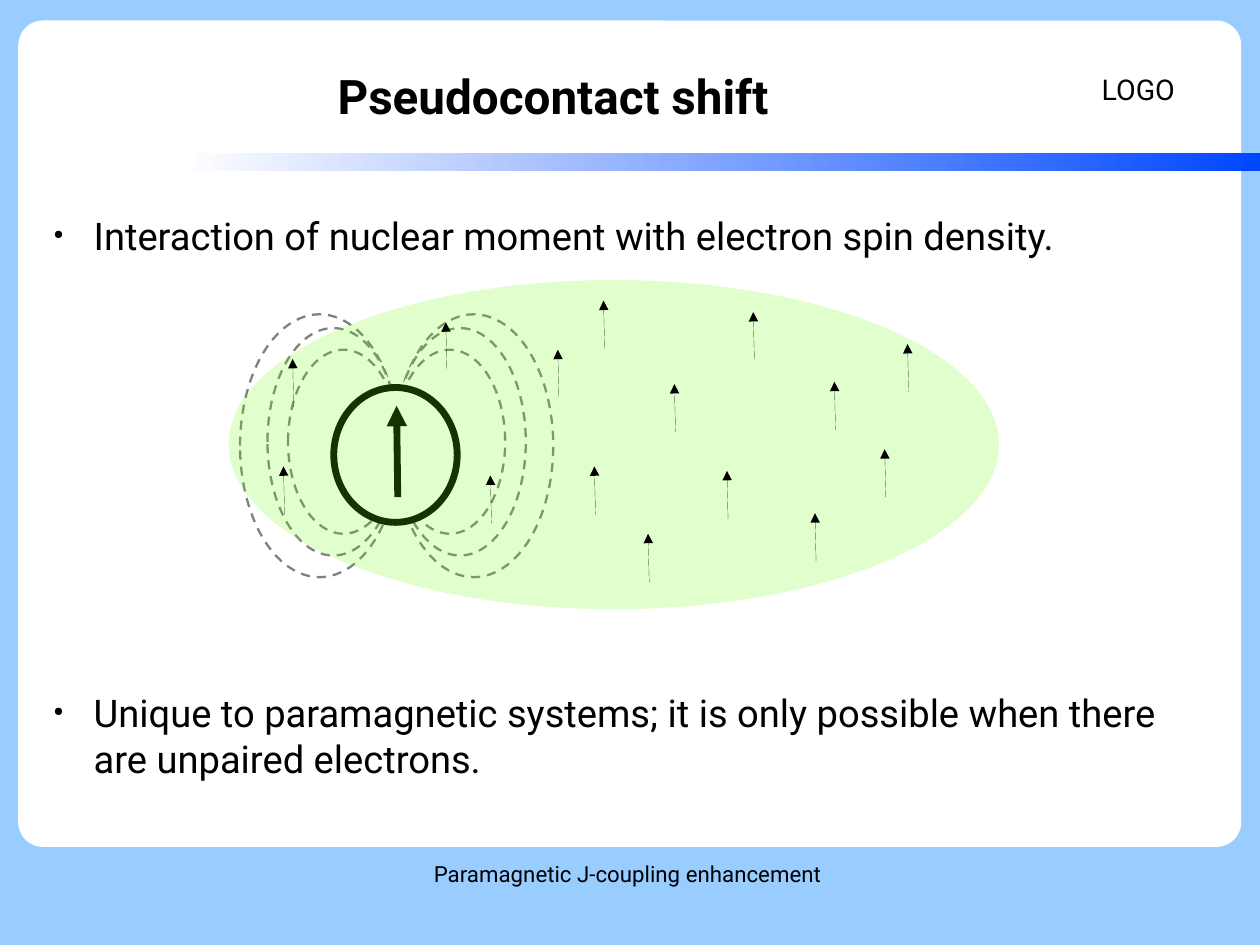
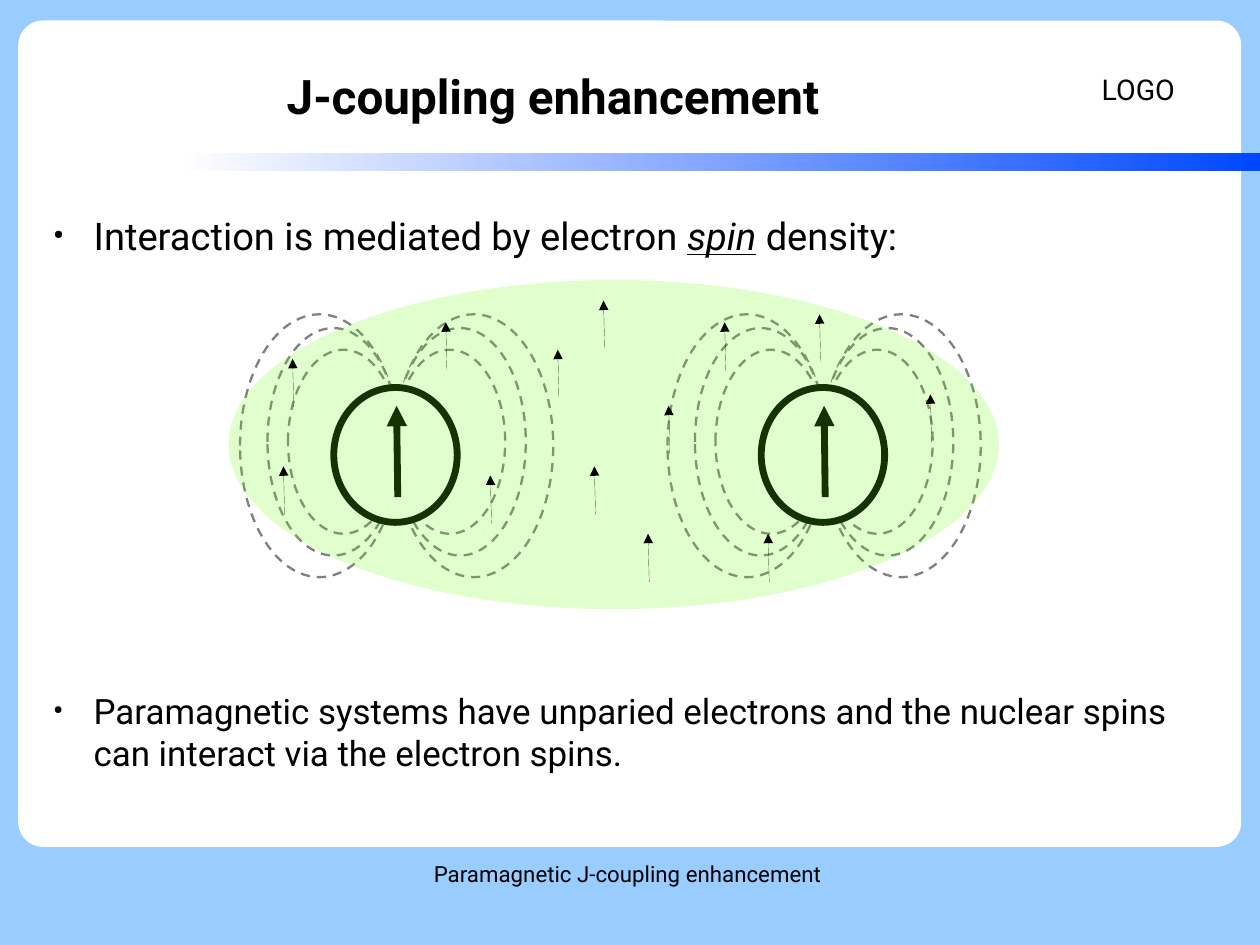
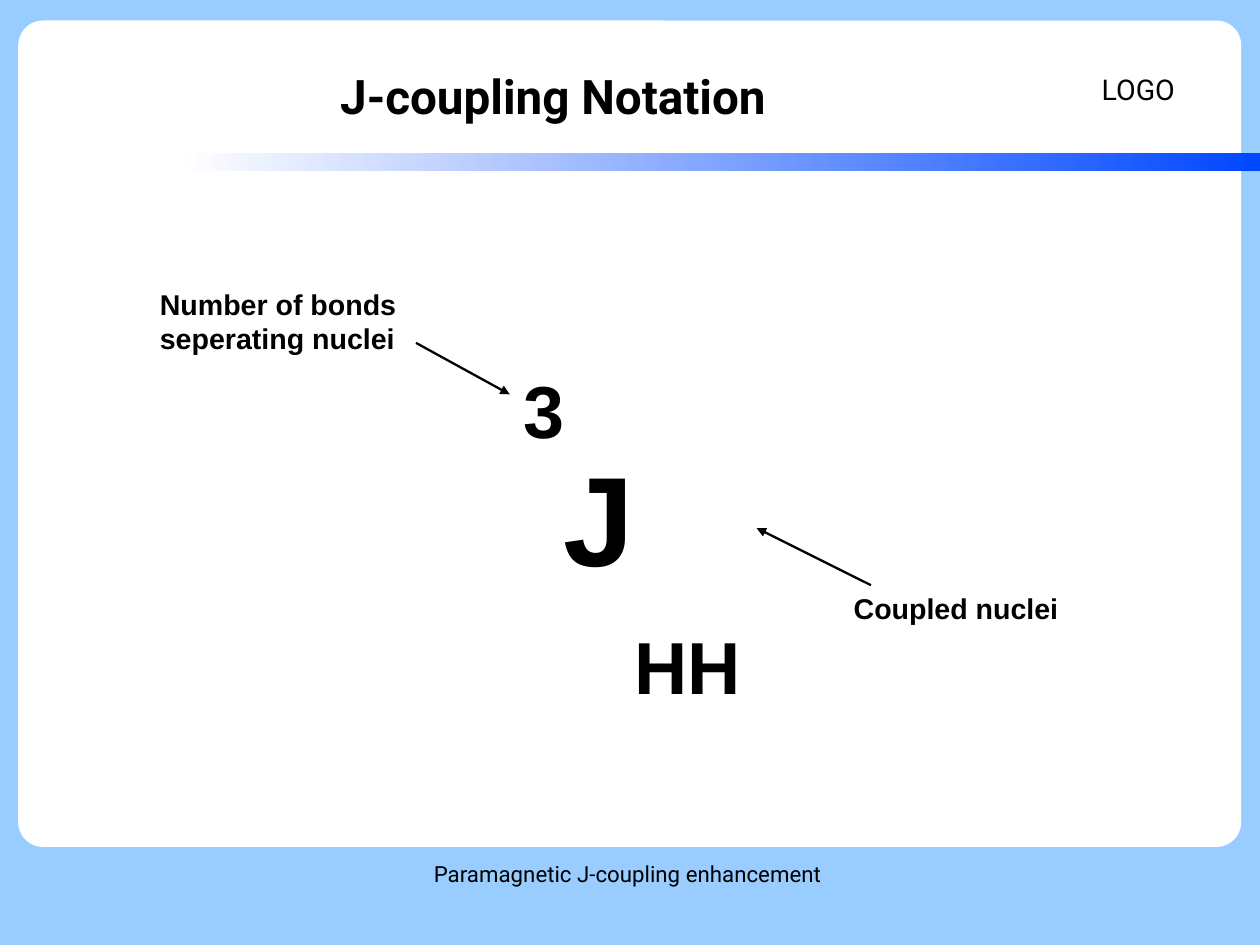
from dataclasses import dataclass

from lxml import etree
from pptx import Presentation
from pptx.dml.color import RGBColor
from pptx.enum.dml import MSO_LINE
from pptx.enum.shapes import MSO_CONNECTOR, MSO_SHAPE
from pptx.enum.text import MSO_ANCHOR, MSO_AUTO_SIZE, PP_ALIGN
from pptx.oxml.ns import qn
from pptx.util import Inches, Pt

RECT = MSO_SHAPE.RECTANGLE
ROUND = MSO_SHAPE.ROUNDED_RECTANGLE
OVAL = MSO_SHAPE.OVAL
STRAIGHT = MSO_CONNECTOR.STRAIGHT
DASH = MSO_LINE.DASH
TOP, MIDDLE = MSO_ANCHOR.TOP, MSO_ANCHOR.MIDDLE
LEFT, CENTER, RIGHT = PP_ALIGN.LEFT, PP_ALIGN.CENTER, PP_ALIGN.RIGHT
FIXED = MSO_AUTO_SIZE.NONE


@dataclass(frozen=True)
class Theme:
    sky: str = "99CCFF"
    paper: str = "FFFFFF"
    band: str = "0047FF"
    ink: str = "000000"
    loop: str = "808080"
    cloud: str = "66FF00"
    font: str = "Roboto"
    label: str = "Arial"
    title: float = 30
    body: float = 24
    dense: float = 22
    note: float = 18
    foot: float = 14
    symbol: float = 80
    thin: float = 1.45
    thick: float = 4.31


THEME = Theme()
SIZE = (28 / 2.54, 21 / 2.54)
PAD = (0.1, 0.05)
BODY = (0.35, 1.86, 10.27, 5.51)
CLOUD = (2, 2.45, 6.74, 2.88)
LOOPS = ((0, 1.39, 2.3), (0.12, 1.15, 1.99), (0.31, 0.97, 1.61))
FIRST, SECOND = (0.11, 0.3), (3.85, 0.3)
SHARED = ((1.9, 0.37), (2.88, 0.61), (3.2, 1.63), (2.29, 1.71),
          (3.28, 0.18), (0.56, 0.69), (0.48, 1.63), (3.67, 2.22))
FREE = ((4.36, 1.67), (5.13, 2.04), (5.3, 0.89), (5.74, 1.48),
        (3.9, 0.91), (4.59, 0.28), (5.94, 0.56))
PAIRED = ((4.34, 0.37), (3.85, 1.1), (5.17, 0.3), (6.14, 1), (4.72, 2.22))


def rgb(code):
    return RGBColor.from_string(code)


def child(node, tag, **attrs):
    return etree.SubElement(node, qn(tag), attrs)


def bullet(para):
    props = para._p.get_or_add_pPr()
    props.set("marL", str(Inches(0.47)))
    props.set("indent", str(Inches(-0.35)))
    child(child(props, "a:buClr"), "a:srgbClr", val=THEME.ink)
    child(props, "a:buSzPct", val="33000")
    child(props, "a:buChar", char="●")


def write(shape, paras, size=THEME.note, font=THEME.font, bold=False,
          align=LEFT, anchor=TOP, pad=(0, 0), dots=False, before=0, after=0):
    frame = shape.text_frame
    frame.word_wrap = True
    frame.auto_size = FIXED
    frame.vertical_anchor = anchor
    frame.margin_left = frame.margin_right = Inches(pad[0])
    frame.margin_top = frame.margin_bottom = Inches(pad[1])
    for index, runs in enumerate(paras):
        para = frame.add_paragraph() if index else frame.paragraphs[0]
        if dots:
            bullet(para)
        para.alignment = align
        para.space_before = Pt(before if index else 0)
        para.space_after = Pt(after)
        for text, look in runs:
            run = para.add_run()
            run.text = text
            run.font.name = font
            run.font.size = Pt(look.get("size", size))
            run.font.bold = bold
            run.font.color.rgb = rgb(THEME.ink)
            if look.get("accent"):
                run.font.italic = run.font.underline = True
            if "base" in look:
                run._r.get_or_add_rPr().set("baseline", str(look["base"] * 1000))


def place(shape, box):
    shape.left, shape.top, shape.width, shape.height = map(Inches, box)


def label(slide, box, text, **look):
    shape = slide.shapes.add_textbox(*map(Inches, box))
    runs = [(text, {})] if isinstance(text, str) else text
    write(shape, [runs], **look)
    return shape


def draw(slide, kind, box, fill=THEME.paper, line=None, width=0, dash=None):
    shape = slide.shapes.add_shape(kind, *map(Inches, box))
    shape.shadow.inherit = False
    shape.fill.solid()
    shape.fill.fore_color.rgb = rgb(fill)
    if line:
        shape.line.color.rgb = rgb(line)
        shape.line.width = Pt(width)
        if dash:
            shape.line.dash_style = dash
    else:
        shape.line.fill.background()
    return shape


def arrow(slide, start, end, width=None):
    link = slide.shapes.add_connector(STRAIGHT, *map(Inches, (*start, *end)))
    link.element.remove(link.element.find(qn("p:style")))
    link.line.color.rgb = rgb(THEME.ink)
    if width:
        link.line.width = Pt(width)
    child(link.line._get_or_add_ln(), "a:tailEnd", type="triangle")
    child(link.element.spPr, "a:effectLst")


def frame(prs, layout):
    back = prs.slide_master.background.fill
    back.solid()
    back.fore_color.rgb = rgb(THEME.sky)
    draft = prs.slides[0]
    panel = draw(draft, ROUND, (0.16, 0.18, 10.7, 7.23))
    panel.adjustments[0] = 0.03
    band = draw(draft, RECT, (1.57, 1.34, 9.45, 0.16))
    band.fill.gradient()
    band.fill.gradient_angle = 0
    for stop, spot, code in zip(band.fill.gradient_stops, (0, 1),
                                (THEME.paper, THEME.band)):
        stop.position = spot
        stop.color.rgb = rgb(code)
    logo = label(draft, (9.54, 0.31, 0.91, 0.94), "LOGO",
                 anchor=MIDDLE, pad=PAD)
    foot = label(draft, (3.77, 7.53, 3.49, 0.57),
                 "Paramagnetic J-coupling enhancement ",
                 size=THEME.foot, align=CENTER)
    for part in (panel, band, logo, foot):
        layout.shapes.element.append(part.element)


def head(slide, text):
    title = slide.shapes.title
    place(title, (0.55, 0.33, 8.58, 1.01))
    write(title, [[(text, {})]], size=THEME.title, bold=True,
          align=CENTER, anchor=MIDDLE)


def atom(slide, left, top):
    for sign in (-1, 1):
        for drop, wide, high in LOOPS:
            edge = 1.38 - wide if sign < 0 else 1.34
            draw(slide, OVAL, (left + edge, top + drop, wide, high),
                 line=THEME.loop, width=THEME.thin, dash=DASH)
    draw(slide, OVAL, (left + 0.81, top + 0.64, 1.08, 1.18),
         line=THEME.ink, width=THEME.thick)
    arrow(slide, (left + 1.37, top + 1.6), (left + 1.36, top + 0.8),
          THEME.thick)


def field(slide, box, atoms, spins):
    left, top = box[:2]
    for x, y in atoms:
        atom(slide, left + x, top + y)
    cloud = draw(slide, OVAL, box, fill=THEME.cloud)
    color = cloud.element.spPr.find(qn("a:solidFill"))[0]
    child(color, "a:alpha", val="20000")
    for x, y in spins:
        tip = left + x, top + y
        arrow(slide, (tip[0] + 0.01, tip[1] + 0.42), tip)


def points(slide, box, paras):
    shape = slide.shapes.add_textbox(*map(Inches, box))
    write(shape, paras, size=THEME.body, dots=True, before=257.5, after=14.1)


def notation(slide, box):
    left, top = box[:2]
    look = dict(font=THEME.label, bold=True, pad=PAD)
    label(slide, (left + 2.98, top + 0.68, 2.3, 3.36),
          [("3", {"base": 101}), ("J", {}), ("HH", {"base": -101})],
          size=THEME.symbol, align=RIGHT, **look)
    label(slide, (left, top, 2.49, 0.66),
          "Number of bonds seperating nuclei", **look)
    label(slide, (left + 6.07, top + 2.66, 2.49, 0.65),
          "Coupled nuclei", **look)
    arrow(slide, (left + 2.34, top + 0.54), (left + 3.16, top + 0.99),
          THEME.thin)
    arrow(slide, (left + 6.32, top + 2.66), (left + 5.32, top + 2.16),
          THEME.thin)


def main():
    prs = Presentation()
    prs.slide_width, prs.slide_height = map(Inches, SIZE)
    layout = prs.slide_layouts[5]
    shift, boost, terms = [prs.slides.add_slide(layout) for _ in range(3)]
    frame(prs, layout)

    head(shift, "Pseudocontact shift")
    points(shift, BODY, [
        [("Interaction of nuclear moment with electron spin density.", {})],
        [("Unique to paramagnetic systems; it is only possible when there "
          "are unpaired electrons.", {})],
    ])
    field(shift, CLOUD, [FIRST], SHARED + FREE)

    head(boost, "J-coupling enhancement")
    points(boost, BODY, [
        [("Interaction is mediated by electron ", {}),
         ("spin", {"accent": True}), (" density:", {})],
        [("Paramagnetic systems have unparied electrons and the nuclear "
          "spins can interact via the electron spins.",
          {"size": THEME.dense})],
    ])
    field(boost, CLOUD, [FIRST, SECOND], SHARED + PAIRED)

    head(terms, "J-coupling Notation")
    notation(terms, (1.3, 2.46, 8.56, 4.04))
    prs.save("out.pptx")


if __name__ == "__main__":
    main()
